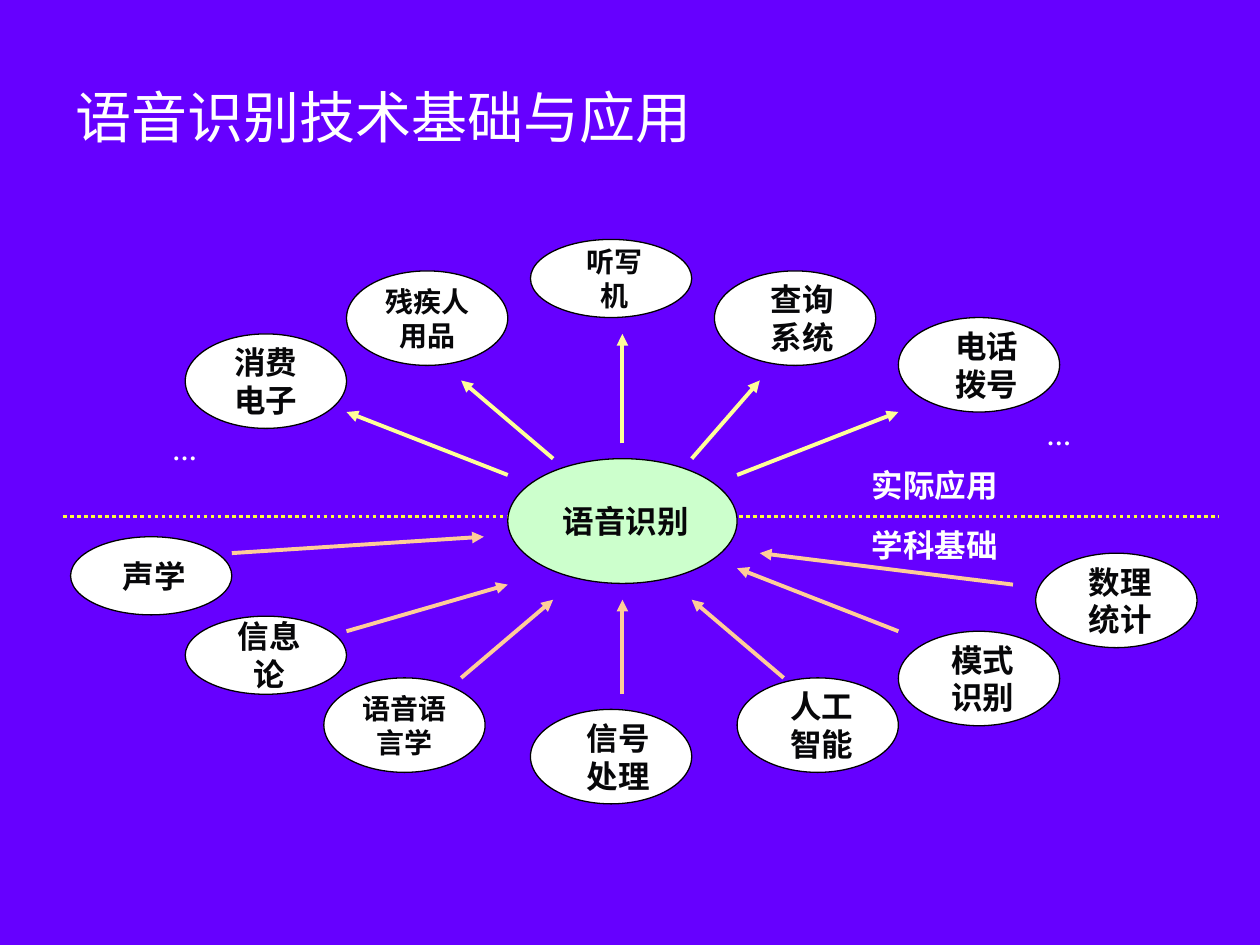
from dataclasses import dataclass

import pptx
import pptx.dml.color
import pptx.enum.dml
import pptx.enum.shapes
import pptx.enum.text
import pptx.oxml
import pptx.oxml.ns
import pptx.util

Inches = pptx.util.Inches
Pt = pptx.util.Pt
Align = pptx.enum.text.PP_ALIGN


@dataclass(frozen=True)
class Theme:
    background: str = "6600FF"
    light: str = "FFFFFF"
    ink: str = "070709"
    outline: str = "000000"
    hub: str = "CCFFCC"
    divider: str = "FDFD3B"
    application: str = "FFFF99"
    foundation: str = "FFCC99"
    title_font: str = "Roboto"
    body_font: str = "Times New Roman"
    title: int = 32
    label: int = 18
    compact: int = 16
    ellipsis: int = 14


@dataclass(frozen=True)
class Box:
    left: float
    top: float
    width: float
    height: float

    @property
    def center(self):
        return self.left + self.width / 2

    def inches(self):
        return [Inches(n) for n in (self.left, self.top, self.width, self.height)]


THEME = Theme()
NODE_WIDTH = 1.28
APPLICATIONS = [
    ("消费\n电子", THEME.label, -3.47, 0.75, 0.75, 0),
    ("残疾人用品", THEME.compact, -2.19, 0.25, 0.75, 0),
    ("听写机", THEME.compact, -0.73, 0, 0.62, 0.06),
    ("查询\n系统", THEME.label, 0.73, 0.25, 0.75, 0.11),
    ("电话\n拨号", THEME.label, 2.19, 0.62, 0.75, 0.12),
]
APPLICATION_ARROWS = [
    (0.91, 1.87, 2.19, 1.37),
    (0.55, 1.74, 1.09, 1.12),
    (0, 1.62, 0, 0.75),
    (-0.55, 1.74, -1.28, 1.12),
    (-0.91, 1.87, -2.19, 1.37),
]
FOUNDATIONS = [
    ("声学", THEME.label, -4.38, 0.16, 0.62, 0.05),
    ("信息论", THEME.label, -3.47, 0.79, 0.62, 0.05),
    ("语音语言学", THEME.compact, -2.37, 1.28, 0.75, 0),
    ("信号\n处理", THEME.label, -0.73, 1.53, 0.75, 0.11),
    ("人工\n智能", THEME.label, 0.91, 1.28, 0.75, 0.06),
    ("模式\n识别", THEME.label, 2.19, 0.91, 0.75, 0.06),
    ("数理\n统计", THEME.label, 3.28, 0.29, 0.75, 0.06),
]
FOUNDATION_ARROWS = [
    (-3.1, 0.29, -1.1, 0.16),
    (-2.19, 0.91, -0.91, 0.54),
    (-1.28, 1.28, -0.55, 0.66),
    (0, 1.41, 0, 0.66),
    (1.28, 1.28, 0.55, 0.66),
    (2.19, 0.91, 0.91, 0.41),
    (3.1, 0.54, 1.09, 0.29),
]


def rgb(value):
    return pptx.dml.color.RGBColor.from_string(value)


def apply_format(target, values):
    for attribute, value in values.items():
        setattr(target, attribute, value)


def write_text(shape, text, size, color, align=Align.CENTER, font=THEME.body_font,
               bold=True, shift=0):
    frame = shape.text_frame
    apply_format(frame, {
        "word_wrap": True,
        "vertical_anchor": pptx.enum.text.MSO_ANCHOR.MIDDLE,
        "margin_left": Inches(0.1 + shift),
        "margin_right": Inches(0.1),
        "margin_top": Inches(0.05),
        "margin_bottom": Inches(0.05),
    })
    frame.text = text
    for paragraph in frame.paragraphs:
        paragraph.alignment = align
        for run in paragraph.runs:
            apply_format(run.font, {"size": Pt(size), "name": font, "bold": bold})
            run.font.color.rgb = rgb(color)


def add_label(slide, box, text, size, **options):
    label = slide.shapes.add_textbox(*box.inches())
    write_text(label, text, size, THEME.light, **options)


def add_ellipse(slide, box, fill, text, size, shift=0):
    ellipse = slide.shapes.add_shape(
        pptx.enum.shapes.MSO_SHAPE.OVAL, *box.inches())
    ellipse.shadow.inherit = False
    ellipse.fill.solid()
    ellipse.fill.fore_color.rgb = rgb(fill)
    ellipse.line.color.rgb = rgb(THEME.outline)
    ellipse.line.width = Pt(0.75)
    write_text(ellipse, text, size, THEME.ink, shift=shift)


def add_line(slide, ends, color, width):
    line = slide.shapes.add_connector(
        pptx.enum.shapes.MSO_CONNECTOR.STRAIGHT, *[Inches(n) for n in ends])
    line.line.color.rgb = rgb(color)
    line.line.width = Pt(width)
    properties = line.line._get_or_add_ln().getparent()
    properties.append(pptx.oxml.parse_xml(
        f'<a:effectLst {pptx.oxml.ns.nsdecls("a")}/>'))
    return line


def add_arrow(slide, ends, color):
    arrow = add_line(slide, ends, color, 2.25)
    arrow.line._get_or_add_ln().append(pptx.oxml.parse_xml(
        f'<a:tailEnd {pptx.oxml.ns.nsdecls("a")} type="triangle"/>'))


def add_title(slide, box):
    add_label(slide, box, "语音识别技术基础与应用", THEME.title,
              align=Align.LEFT, font=THEME.title_font, bold=False)


def add_hub(slide, box):
    middle = box.top + 0.46
    divider = add_line(slide, (0.5, middle, 9.67, middle), THEME.divider, 2)
    divider.line.dash_style = pptx.enum.dml.MSO_LINE.ROUND_DOT
    add_ellipse(slide, box, THEME.hub, "语音识别", THEME.label, 0.05)


def add_fan(slide, box, nodes, arrows, color, caption, caption_top):
    for text, size, x, y, height, shift in nodes:
        node = Box(box.center + x, box.top + y, NODE_WIDTH, height)
        add_ellipse(slide, node, THEME.light, text, size, shift)
    for x1, y1, x2, y2 in arrows:
        ends = (box.center + x1, box.top + y1, box.center + x2, box.top + y2)
        add_arrow(slide, ends, color)
    add_label(slide, Box(box.center + 1.82, box.top + caption_top, 1.32, 0.37),
              caption, THEME.label)


def add_applications(slide, box):
    add_fan(slide, box, APPLICATIONS, APPLICATION_ARROWS, THEME.application,
            "实际应用", 1.76)
    for x, y in ((-3.84, 1.49), (3.1, 1.37)):
        add_label(slide, Box(box.center + x, box.top + y, 0.73, 0.37),
                  "…", THEME.ellipsis)


def add_foundations(slide, box):
    add_fan(slide, box, FOUNDATIONS, FOUNDATION_ARROWS, THEME.foundation,
            "学科基础", 0.04)


def main():
    deck = pptx.Presentation()
    deck.slide_width, deck.slide_height = Inches(10), Inches(7.5)
    slide = deck.slides.add_slide(deck.slide_layouts[6])
    slide.background.fill.solid()
    slide.background.fill.fore_color.rgb = rgb(THEME.background)
    add_hub(slide, Box(4.03, 3.64, 1.82, 0.99))
    add_foundations(slide, Box(0.5, 4.1, 8.88, 2.28))
    add_applications(slide, Box(0.5, 1.9, 8.88, 2.2))
    add_title(slide, Box(0.5, 0.3, 9, 1.25))
    deck.save("out.pptx")


if __name__ == "__main__":
    main()
